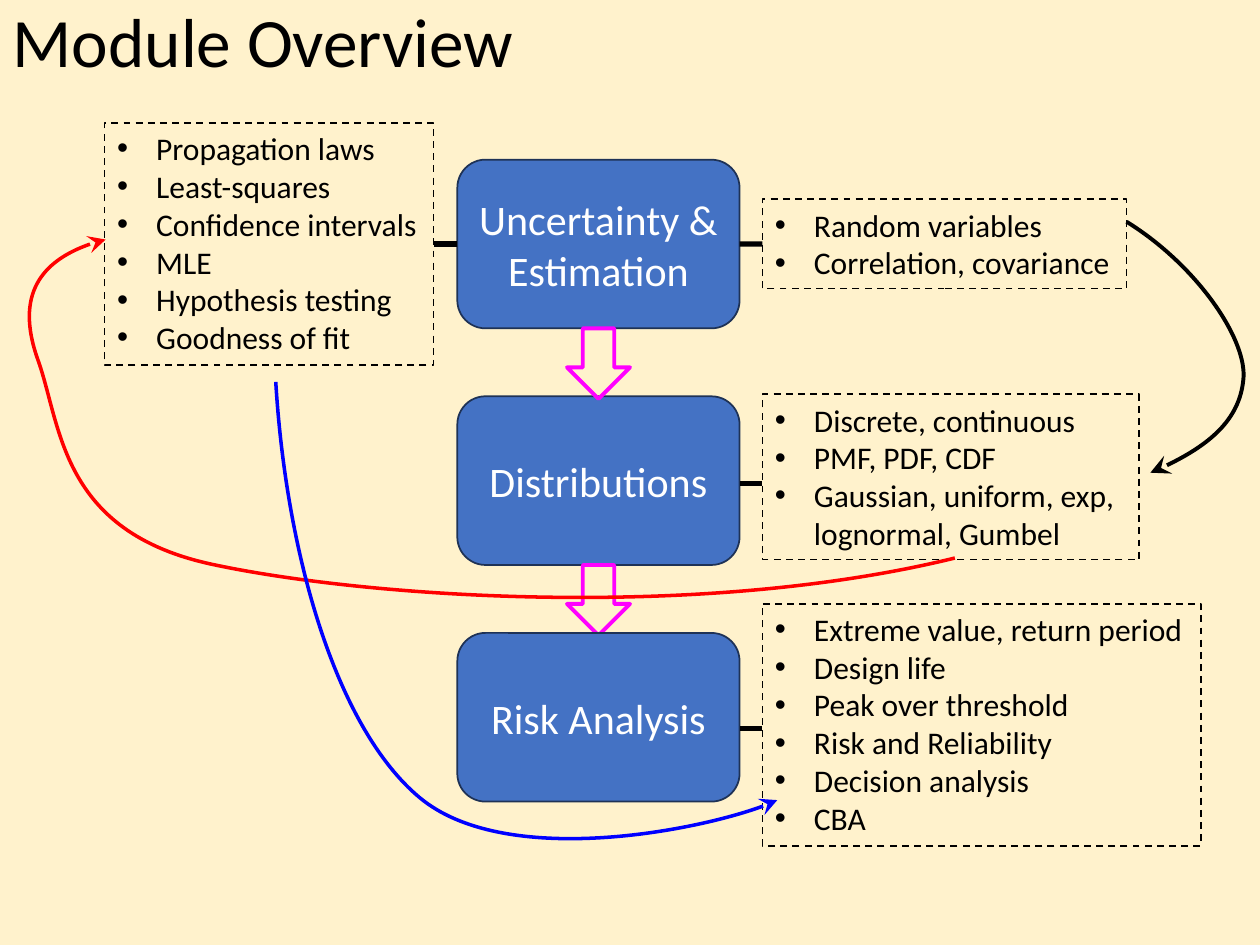
"""Build the module overview slide with its stages, topic lists and links."""
from dataclasses import dataclass
from typing import Any

import pptx
import pptx.dml.color
import pptx.enum.dml
import pptx.enum.shapes
import pptx.enum.text
import pptx.util
from lxml import etree
from pptx.oxml.ns import qn

Cm = pptx.util.Cm
Pt = pptx.util.Pt
RGBColor = pptx.dml.color.RGBColor
Kind = pptx.enum.shapes.MSO_SHAPE
Align = pptx.enum.text.PP_ALIGN
Anchor = pptx.enum.text.MSO_ANCHOR
Fit = pptx.enum.text.MSO_AUTO_SIZE
Dash = pptx.enum.dml.MSO_LINE

CREAM = RGBColor(0xFF, 0xF2, 0xCC)
STEEL = RGBColor(0x44, 0x72, 0xC4)
NAVY = RGBColor(0x1E, 0x32, 0x56)
PINK = RGBColor(0xFF, 0x00, 0xFF)
RED = RGBColor(0xFF, 0x00, 0x00)
BLUE = RGBColor(0x00, 0x00, 0xFF)
BLACK = RGBColor(0x00, 0x00, 0x00)
WHITE = RGBColor(0xFF, 0xFF, 0xFF)

LEFT, WIDE, HIGH = 9.22, 5.69, 3.4
TOP, STEP = 3.22, 4.77
SIDE = 15.37
RIGHT = LEFT + WIDE


@dataclass
class Stage:
    name: str
    row: int
    arrow: bool


@dataclass
class Topic:
    left: float
    top: float
    wide: float
    high: float
    items: tuple[str, ...]


@dataclass
class Curve:
    color: RGBColor
    width: float
    spots: tuple[tuple[float, float], ...]


STAGES = (
    Stage("Distributions", 1, True),
    Stage("Uncertainty & Estimation", 0, True),
    Stage("Risk Analysis", 2, False),
)
TOPICS = (
    Topic(SIDE, 4.02, 7.34, 1.8, ("Random variables", "Correlation, covariance")),
    Topic(2.11, 2.48, 6.63, 4.88, (
        "Propagation laws", "Least-squares", "Confidence intervals", "MLE",
        "Hypothesis testing", "Goodness of fit")),
    Topic(SIDE, 7.95, 7.59, 3.33, (
        "Discrete, continuous", "PMF, PDF, CDF",
        "Gaussian, uniform, exp, \vlognormal, Gumbel")),
    Topic(SIDE, 12.17, 8.84, 4.88, (
        "Extreme value, return period", "Design life", "Peak over threshold",
        "Risk and Reliability", "Decision analysis", "CBA")),
)
CURVES = (
    Curve(BLACK, 2.25, (
        (22.71, 4.47), (24.1, 5.33), (25.1, 6.78), (25.07, 7.59),
        (25.02, 8.41), (24.31, 9.07), (23.19, 9.53))),
    Curve(RED, 2, (
        (19.25, 11.25), (14.07, 12.52), (7.37, 12.04), (4.29, 11.38),
        (1.19, 10.72), (1.24, 8.56), (0.76, 7.24),
        (0.3, 5.94), (0.94, 5.11), (2.13, 4.83))),
    Curve(BLUE, 2, (
        (5.56, 7.7), (5.77, 11.18), (6.78, 14.68), (8.46, 16.08),
        (10.16, 17.5), (14.61, 16.66), (15.67, 16.13))),
)


def style(thing: Any, form: dict[str, Any]) -> None:
    for name, value in form.items():
        setattr(thing, name, value)


def ink(para: Any, size: float, color: RGBColor) -> None:
    style(para.font, {"name": "Calibri", "size": Pt(size)})
    para.font.color.rgb = color


def edge(shape: Any, color: RGBColor, width: float) -> None:
    shape.line.color.rgb = color
    shape.line.width = Pt(width)


def block(slide: Any, kind: Any, left: float, top: float, wide: float, high: float) -> Any:
    shape = slide.shapes.add_shape(kind, Cm(left), Cm(top), Cm(wide), Cm(high))
    shape.shadow.inherit = False
    shape.fill.background()
    return shape


def draw_stage(slide: Any, stage: Stage) -> Any:
    top = TOP + stage.row * STEP
    shape = block(slide, Kind.ROUNDED_RECTANGLE, LEFT, top, WIDE, HIGH)
    shape.fill.solid()
    shape.fill.fore_color.rgb = STEEL
    edge(shape, NAVY, 1)
    frame = shape.text_frame
    style(frame, {"text": stage.name, "word_wrap": True, "vertical_anchor": Anchor.MIDDLE})
    para = frame.paragraphs[0]
    para.alignment = Align.CENTER
    ink(para, 24, WHITE)
    if stage.arrow:
        arrow = block(slide, Kind.UP_ARROW, 11.43, top + HIGH, 1.27, 1.42)
        arrow.rotation = 180
        edge(arrow, PINK, 2.25)
    return shape


def draw_topic(slide: Any, topic: Topic) -> Any:
    shape = block(slide, Kind.RECTANGLE, topic.left, topic.top, topic.wide, topic.high)
    edge(shape, BLACK, 1)
    shape.line.dash_style = Dash.DASH
    frame = shape.text_frame
    style(frame, {"text": "\n".join(topic.items), "word_wrap": False,
                  "auto_size": Fit.SHAPE_TO_FIT_TEXT, "vertical_anchor": Anchor.TOP})
    for para in frame.paragraphs:
        para.alignment = Align.LEFT
        ink(para, 18, BLACK)
        props = para._p.get_or_add_pPr()
        props.set("marL", str(Cm(0.79)))
        props.set("indent", str(-Cm(0.79)))
        etree.SubElement(props, qn("a:buFont"), typeface="Arial")
        etree.SubElement(props, qn("a:buChar"), char="•")
    return shape


def draw_curve(slide: Any, curve: Curve) -> None:
    spots = [(Cm(x), Cm(y)) for x, y in curve.spots]
    maker = slide.shapes.build_freeform(*spots[0])
    maker.add_line_segments(spots[1:], close=False)
    shape = maker.convert_to_shape()
    shape.shadow.inherit = False
    shape.fill.background()
    edge(shape, curve.color, curve.width)
    trace = next(shape.element.iter(qn("a:path")))
    legs = trace.findall(qn("a:lnTo"))
    for start in range(0, len(legs), 3):
        bend = etree.SubElement(trace, qn("a:cubicBezTo"))
        for leg in legs[start:start + 3]:
            bend.append(leg[0])
            trace.remove(leg)
    line = shape.element.spPr.get_or_add_ln()
    etree.SubElement(line, qn("a:tailEnd"), type="stealth", w="lg", len="lg")


def draw_link(slide: Any, start: float, end: float, level: float) -> Any:
    link = slide.shapes.add_connector(
        pptx.enum.shapes.MSO_CONNECTOR.STRAIGHT, Cm(start), Cm(level), Cm(end), Cm(level))
    edge(link, BLACK, 3)
    etree.SubElement(link.element.spPr, qn("a:effectLst"))
    return link


def draw_title(slide: Any) -> None:
    title = slide.shapes.title
    style(title, {"left": Cm(0), "top": Cm(0), "width": Cm(13.16), "height": Cm(1.8)})
    style(title.text_frame, {"text": "Module Overview", "vertical_anchor": Anchor.MIDDLE})
    para = title.text_frame.paragraphs[0]
    style(para, {"alignment": Align.LEFT, "line_spacing": 0.9})
    ink(para, 39.6, BLACK)


def main() -> None:
    deck = pptx.Presentation()
    style(deck, {"slide_width": Cm(25.4), "slide_height": Cm(19.05)})
    slide = deck.slides.add_slide(deck.slide_layouts.get_by_name("Title Only"))
    slide.background.fill.solid()
    slide.background.fill.fore_color.rgb = CREAM
    draw_title(slide)
    stages = [draw_stage(slide, stage) for stage in STAGES]
    topics = [draw_topic(slide, topic) for topic in TOPICS]
    for curve in CURVES:
        draw_curve(slide, curve)
    first, level = stages[1], TOP + HIGH / 2
    for topic, start, end, near, far in (
            (topics[1], LEFT, 8.74, 1, 3), (topics[0], RIGHT, SIDE, 3, 1)):
        link = draw_link(slide, start, end, level)
        link.begin_connect(first, near)
        link.end_connect(topic, far)
    for level in (9.75, 14.68):
        draw_link(slide, SIDE, RIGHT, level)
    deck.save("out.pptx")


if __name__ == "__main__":
    main()
